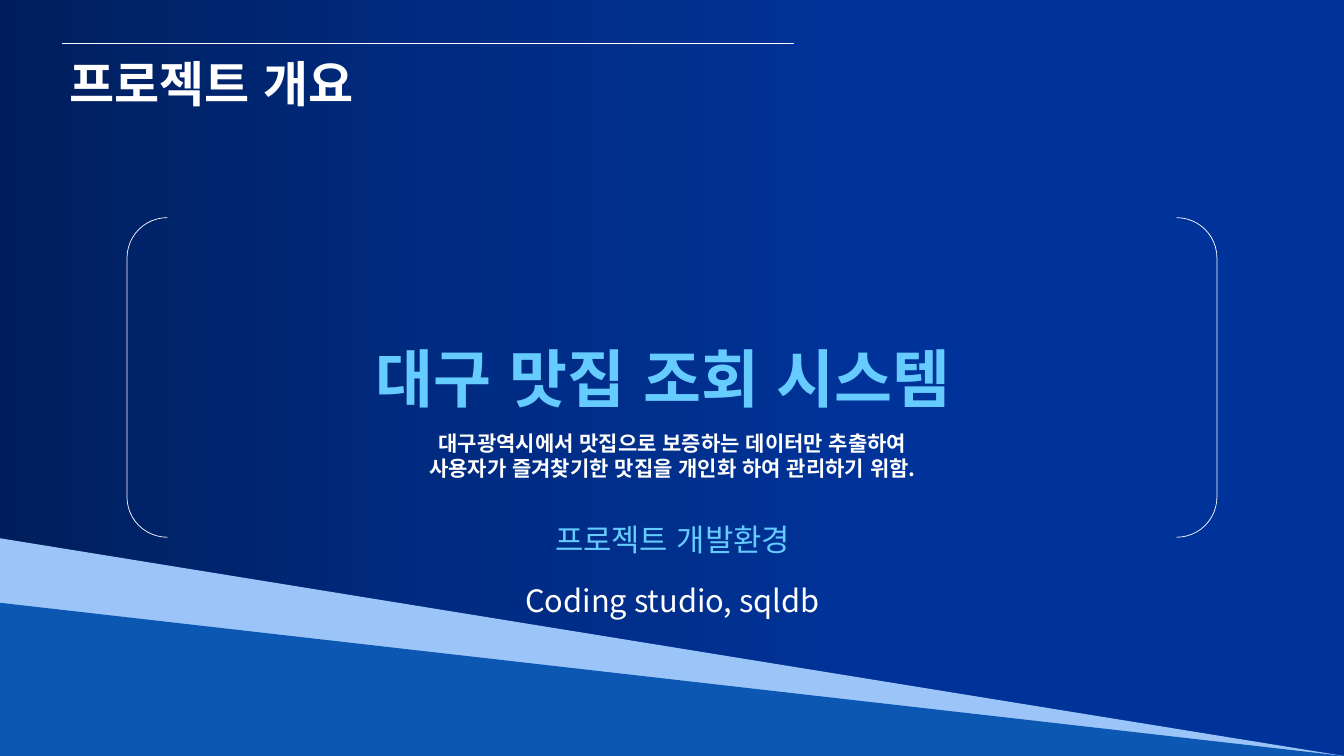
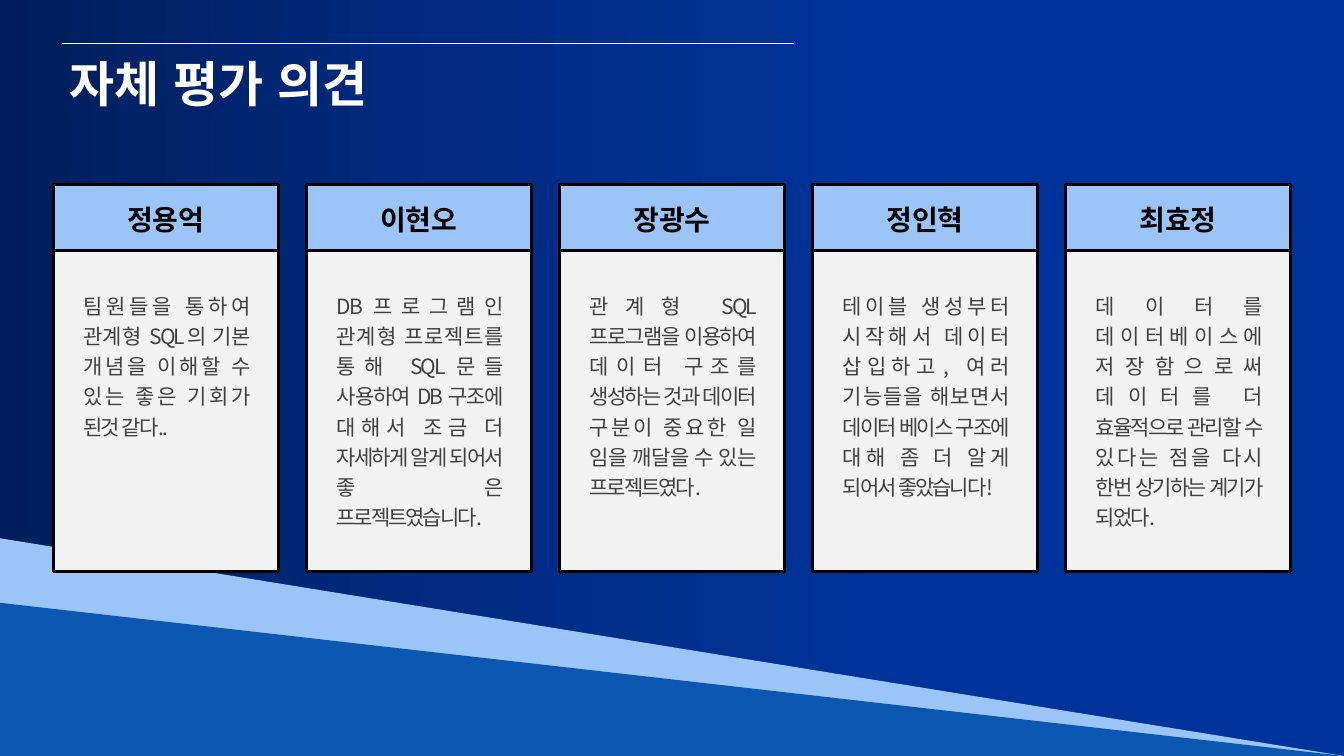
from dataclasses import dataclass
from copy import deepcopy
from lxml.etree import SubElement
from pptx import Presentation
from pptx.dml.color import RGBColor
from pptx.enum.lang import MSO_LANGUAGE_ID
from pptx.enum.shapes import MSO_CONNECTOR, MSO_SHAPE
from pptx.enum.text import MSO_ANCHOR, MSO_AUTO_SIZE, PP_ALIGN
from pptx.oxml.ns import qn
from pptx.util import Inches, Pt

OVERVIEW_TITLE = "프로젝트 개요"
OVERVIEW_TEXTS = [
    (["대구 맛집 조회 시스템"], (3.63, 3.32, 6.2, 0.86),
     dict(size="hero", color="sky", bold=True, align=PP_ALIGN.LEFT)),
    (["대구광역시에서 맛집으로 보증하는 데이터만 추출하여",
      "사용자가 즐겨찾기한 맛집을 개인화 하여 관리하기 위함."],
     (4.08, 4.22, 5.18, 0.61), dict(size="body", color="white", bold=True)),
    (["프로젝트 개발환경"], (4.67, 5.12, 4, 0.47), dict(size="label", color="sky")),
    (["Coding studio, sqldb"], (4.67, 5.72, 4, 0.47), dict(size="label", color="white")),
]
REVIEW_TITLE = "자체 평가 의견"
REVIEWS = [
    ("정용억", "팀원들을 통하여 관계형 SQL의 기본 개념을 이해할 수 있는 좋은 기회가 된것 같다.."),
    ("이현오", "DB프로그램인 관계형 프로젝트를 통해 SQL문들 사용하여 DB 구조에 대해서 조금 더 "
             "자세하게 알게 되어서 좋은 프로젝트였습니다."),
    ("장광수", "관계형 SQL 프로그램을 이용하여 데이터 구조를 생성하는 것과 데이터 구분이 중요한 일 "
             "임을 깨달을 수 있는 프로젝트였다."),
    ("정인혁", "테이블 생성부터 시작해서 데이터 삽입하고, 여러 기능들을 해보면서 데이터 베이스 구조에 "
             "대해 좀 더 알게 되어서 좋았습니다!"),
    ("최효정", "데이터를 데이터베이스에 저장함으로써 데이터를 더 효율적으로 관리할 수 있다는 점을 다시 "
             "한번 상기하는 계기가 되었다."),
]


@dataclass(frozen=True)
class Theme:
    font = "Noto Sans CJK KR"
    colors = dict(white="FFFFFF", black="000000", sky="66CCFF", pale="9BC5F9",
                  blue="0B57B2", card="F2F2F2", gray="404040")
    sizes = dict(hero=45, title=35, label=22, name=20, body=15)
    backdrop = ((0, "001E5B"), (0.33, "002B81"), (0.66, "003399"))

    def rgb(self, name):
        return RGBColor.from_string(self.colors[name])


THEME = Theme()
WIDTH, HEIGHT = 13.33, 7.5
CARD_MARGIN, CARD_TOP, CARD_WIDTH, CARD_HEIGHT, NAME_HEIGHT = 0.53, 1.83, 2.23, 3.84, 0.66


def box(*lengths):
    return [Inches(length) for length in lengths]


def write(frame, paragraphs, size, color, bold=False, align=PP_ALIGN.CENTER,
          anchor=MSO_ANCHOR.TOP, spacing=1.0, tracking=0, insets=(0.1, 0.05, 0.1, 0.05)):
    frame.word_wrap = True
    frame.auto_size = MSO_AUTO_SIZE.NONE
    frame.vertical_anchor = anchor
    (frame.margin_left, frame.margin_top,
     frame.margin_right, frame.margin_bottom) = box(*insets)
    for index, text in enumerate(paragraphs):
        paragraph = frame.add_paragraph() if index else frame.paragraphs[0]
        paragraph.alignment = align
        paragraph.line_spacing = spacing
        run = paragraph.add_run()
        run.text = text
        font = run.font
        font.name, font.size, font.bold = THEME.font, Pt(THEME.sizes[size]), bold
        font.color.rgb = THEME.rgb(color)
        font.language_id = MSO_LANGUAGE_ID.KOREAN
        properties = run.font._element
        SubElement(properties, qn("a:ea")).set("typeface", THEME.font)
        if tracking:
            properties.set("spc", str(int(tracking * 100)))


def add_figure(slide, preset, place, fill=None, line=None, weight=0.5):
    figure = slide.shapes.add_shape(preset, *box(*place))
    figure.shadow.inherit = False
    if fill:
        figure.fill.solid()
        figure.fill.fore_color.rgb = THEME.rgb(fill)
    else:
        figure.fill.background()
    if line:
        figure.line.color.rgb = THEME.rgb(line)
        figure.line.width = Pt(weight)
    else:
        figure.line.fill.background()
    return figure


def paint_backdrop(master):
    fill = master.background.fill
    fill.gradient()
    fill.gradient_angle = 0
    stop_list = master.element.xpath(".//p:bg//a:gsLst")[0]
    stop_list.append(deepcopy(stop_list[-1]))
    for stop, (position, color) in zip(fill.gradient_stops, THEME.backdrop):
        stop.position = position
        stop.color.rgb = RGBColor.from_string(color)


def add_titled_slide(deck, title):
    slide = deck.slides.add_slide(deck.slide_layouts[5])
    for top, color in ((5.34, "pale"), (5.98, "blue")):
        add_figure(slide, MSO_SHAPE.RIGHT_TRIANGLE, (0, top, WIDTH, HEIGHT - top), color)
    rule = slide.shapes.add_connector(MSO_CONNECTOR.STRAIGHT, *box(0.62, 0.43, 7.88, 0.43))
    rule.line.color.rgb = THEME.rgb("white")
    rule.line.width = Pt(0.5)
    SubElement(rule._element.spPr, qn("a:effectLst"))
    heading = slide.shapes.title
    heading.left, heading.top, heading.width, heading.height = box(0.59, 0.48, 7.29, 0.69)
    write(heading.text_frame, [title], "title", "white", bold=True, align=PP_ALIGN.LEFT)
    return slide


def build_overview(deck):
    slide = add_titled_slide(deck, OVERVIEW_TITLE)
    brackets = add_figure(slide, MSO_SHAPE.DOUBLE_BRACKET, (1.26, 2.16, 10.81, 3.17), line="white")
    brackets.adjustments[0] = 0.126
    for paragraphs, place, style in OVERVIEW_TEXTS:
        write(slide.shapes.add_textbox(*box(*place)).text_frame, paragraphs, **style)


def build_reviews(deck):
    slide = add_titled_slide(deck, REVIEW_TITLE)
    pitch = (WIDTH - 2 * CARD_MARGIN - CARD_WIDTH) / (len(REVIEWS) - 1)
    for index, (member, opinion) in enumerate(REVIEWS):
        left = CARD_MARGIN + index * pitch
        card = add_figure(slide, MSO_SHAPE.RECTANGLE, (left, CARD_TOP, CARD_WIDTH, CARD_HEIGHT),
                          "card", "black", 2.25)
        write(card.text_frame, [opinion], "body", "gray", align=PP_ALIGN.JUSTIFY,
              spacing=1.2, tracking=-1.5, insets=(0.3, 1.03, 0.29, 0.05))
        name = add_figure(slide, MSO_SHAPE.RECTANGLE, (left, CARD_TOP, CARD_WIDTH, NAME_HEIGHT),
                          "pale", "black", 2.25)
        write(name.text_frame, [member], "name", "black", bold=True, anchor=MSO_ANCHOR.MIDDLE,
              insets=(0.1, 0.08, 0.1, 0.05))


def main():
    deck = Presentation()
    deck.slide_width, deck.slide_height = box(WIDTH, HEIGHT)
    paint_backdrop(deck.slide_master)
    build_overview(deck)
    build_reviews(deck)
    deck.save("out.pptx")


if __name__ == "__main__":
    main()
